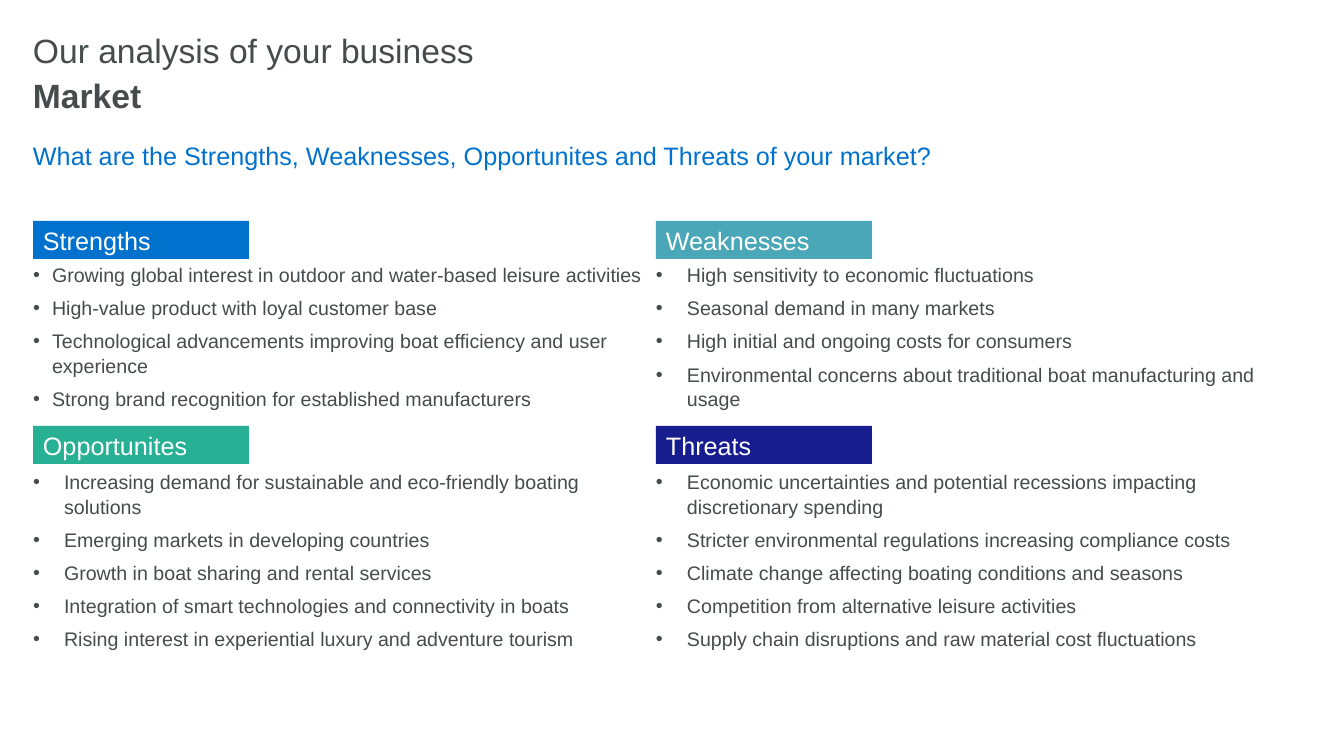
from dataclasses import dataclass

from lxml.etree import SubElement
from pptx import Presentation
from pptx.dml.color import RGBColor
from pptx.enum.shapes import MSO_SHAPE
from pptx.enum.text import MSO_ANCHOR, PP_ALIGN
from pptx.oxml.ns import qn
from pptx.slide import Slide
from pptx.text.text import TextFrame, _Paragraph
from pptx.util import Emu, Pt


@dataclass(frozen=True)
class Theme:
    font: str = "Arial"
    ink: str = "464B4B"
    blue: str = "0072CE"
    teal: str = "4AA7B7"
    green: str = "27B093"
    navy: str = "171C8F"
    white: str = "FFFFFF"
    title: int = 24
    head: int = 18
    body: int = 14
    after: int = 6
    lead: float = 1.05


@dataclass(frozen=True)
class Box:
    left: int
    top: int
    width: int
    height: int


@dataclass(frozen=True)
class Line:
    text: str
    box: Box
    size: int
    color: str
    lead: float
    bold: bool = False
    anchor: MSO_ANCHOR = MSO_ANCHOR.MIDDLE


@dataclass(frozen=True)
class Group:
    """One quarter of the SWOT grid: a coloured tab above a bullet list."""
    name: str
    color: str
    col: int
    row: int
    indent: int
    items: tuple[str, ...]


THEME = Theme()
LEFT = 33
COL = 623
TAB_W, TAB_H = 216, 38
TAB_TOPS = (221, 426)
LIST_TOPS = (262, 469)
LIST_HS = (164, 194)

LINES = (
    Line("Our analysis of your business", Box(LEFT, 33, 1245, 39),
         THEME.title, THEME.ink, 0.9),
    Line("Market", Box(LEFT, 75, 1130, 39),
         THEME.title, THEME.ink, THEME.lead, bold=True),
    Line("What are the Strengths, Weaknesses, Opportunites and Threats of your market?",
         Box(LEFT, 139, 1277, 37), THEME.head, THEME.blue, THEME.lead,
         anchor=MSO_ANCHOR.TOP),
)

GROUPS = (
    Group("Strengths", THEME.blue, 0, 0, 19, (
        "Growing global interest in outdoor and water-based leisure activities",
        "High-value product with loyal customer base",
        "Technological advancements improving boat efficiency and user experience",
        "Strong brand recognition for established manufacturers",
    )),
    Group("Weaknesses", THEME.teal, 1, 0, 31, (
        "High sensitivity to economic fluctuations",
        "Seasonal demand in many markets",
        "High initial and ongoing costs for consumers",
        "Environmental concerns about traditional boat manufacturing and usage",
    )),
    Group("Opportunites", THEME.green, 0, 1, 31, (
        "Increasing demand for sustainable and eco-friendly boating solutions",
        "Emerging markets in developing countries",
        "Growth in boat sharing and rental services",
        "Integration of smart technologies and connectivity in boats",
        "Rising interest in experiential luxury and adventure tourism",
    )),
    Group("Threats", THEME.navy, 1, 1, 31, (
        "Economic uncertainties and potential recessions impacting discretionary spending",
        "Stricter environmental regulations increasing compliance costs",
        "Climate change affecting boating conditions and seasons",
        "Competition from alternative leisure activities",
        "Supply chain disruptions and raw material cost fluctuations",
    )),
)


def px(count: int) -> Emu:
    return Emu(round(count * 914400 / 100.8))


def place(box: Box) -> tuple[Emu, Emu, Emu, Emu]:
    return px(box.left), px(box.top), px(box.width), px(box.height)


def style(para: _Paragraph, size: int, color: str, bold: bool = False) -> None:
    para.alignment = PP_ALIGN.LEFT
    for run in para.runs:
        run.font.name = THEME.font
        run.font.size = Pt(size)
        run.font.bold = bold
        run.font.color.rgb = RGBColor.from_string(color)


def space(para: _Paragraph, lead: float) -> None:
    para.line_spacing = lead
    para.space_after = Pt(THEME.after)


def bullet(para: _Paragraph, indent: int) -> None:
    props = para._p.get_or_add_pPr()
    props.set("marL", str(px(indent)))
    props.set("indent", str(-px(indent)))
    SubElement(props, qn("a:buFont"), typeface=THEME.font)
    SubElement(props, qn("a:buChar"), char="•")


def add_frame(slide: Slide, box: Box, anchor: MSO_ANCHOR) -> TextFrame:
    """Add a wrapping text box without insets."""
    frame = slide.shapes.add_textbox(*place(box)).text_frame
    frame.word_wrap = True
    frame.vertical_anchor = anchor
    frame.margin_left = frame.margin_right = 0
    frame.margin_top = frame.margin_bottom = 0
    return frame


def add_line(slide: Slide, line: Line) -> None:
    frame = add_frame(slide, line.box, line.anchor)
    frame.text = line.text
    para = frame.paragraphs[0]
    space(para, line.lead)
    style(para, line.size, line.color, line.bold)


def add_tab(slide: Slide, group: Group) -> None:
    box = Box(LEFT + group.col * COL, TAB_TOPS[group.row], TAB_W, TAB_H)
    tab = slide.shapes.add_shape(MSO_SHAPE.RECTANGLE, *place(box))
    tab.shadow.inherit = False
    tab.fill.solid()
    tab.fill.fore_color.rgb = RGBColor.from_string(group.color)
    tab.line.fill.background()
    frame = tab.text_frame
    frame.vertical_anchor = MSO_ANCHOR.MIDDLE
    frame.text = group.name
    style(frame.paragraphs[0], THEME.head, THEME.white)


def add_list(slide: Slide, group: Group) -> None:
    box = Box(LEFT + group.col * COL, LIST_TOPS[group.row], COL, LIST_HS[group.row])
    frame = add_frame(slide, box, MSO_ANCHOR.TOP)
    frame.text = "\n".join(group.items)
    for para in frame.paragraphs:
        space(para, THEME.lead)
        style(para, THEME.body, THEME.ink)
        bullet(para, group.indent)


def main() -> None:
    deck = Presentation()
    deck.slide_width, deck.slide_height = px(1344), px(756)
    slide = deck.slides.add_slide(deck.slide_layouts[6])
    for line in LINES:
        add_line(slide, line)
    for group in GROUPS:
        add_tab(slide, group)
        add_list(slide, group)
    deck.save("out.pptx")


if __name__ == "__main__":
    main()
